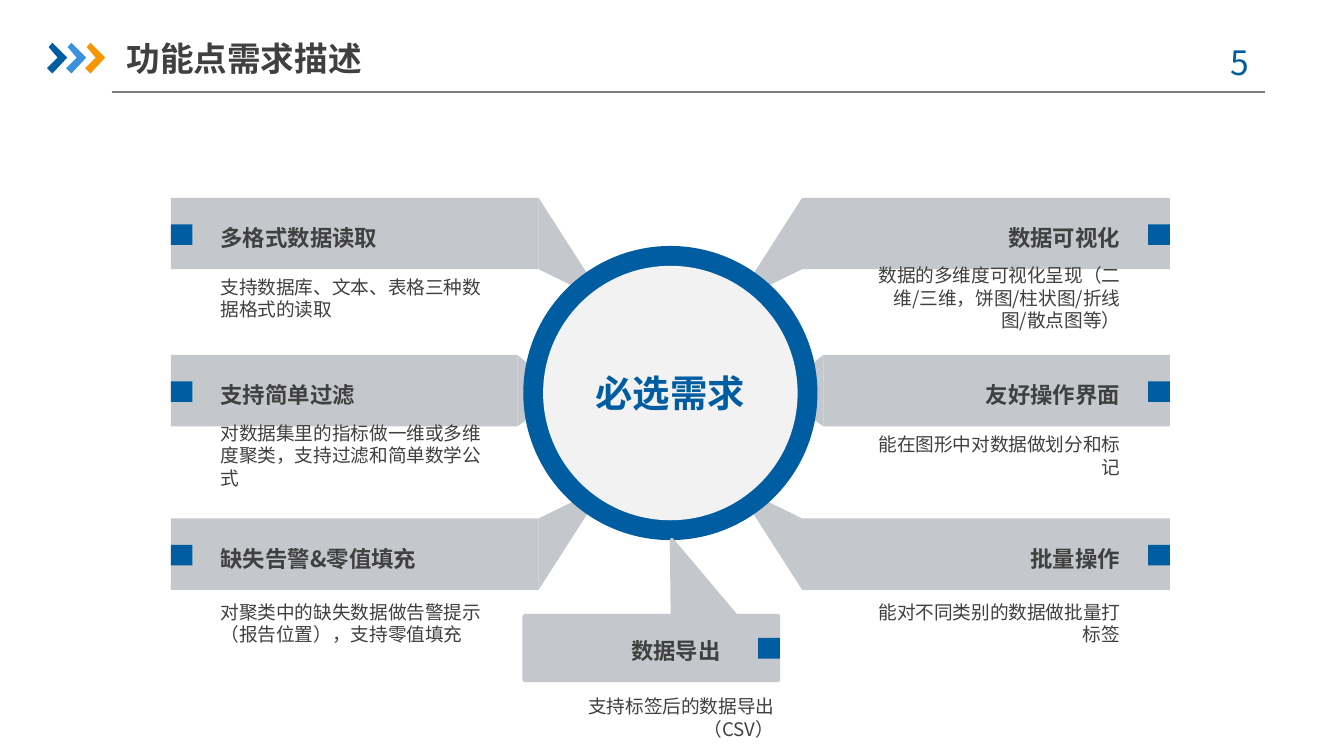
import pptx
import pptx.dml.color
import pptx.enum.shapes
import pptx.enum.text
import pptx.oxml
import pptx.oxml.ns
import pptx.util

Cm = pptx.util.Cm
SHAPE = pptx.enum.shapes.MSO_SHAPE
ALIGN = pptx.enum.text.PP_ALIGN
ANCHOR = pptx.enum.text.MSO_ANCHOR

TITLE = "功能点需求描述"
PAGE_NUMBER = "5"
HUB = "必选需求"
LEFT_FEATURES = [
    ("多格式数据读取", "支持数据库、文本、表格三种数据格式的读取"),
    ("支持简单过滤", "对数据集里的指标做一维或多维度聚类，支持过滤和简单数学公式"),
    ("缺失告警&零值填充", "对聚类中的缺失数据做告警提示（报告位置），支持零值填充"),
]
RIGHT_FEATURES = [
    ("数据可视化", "数据的多维度可视化呈现（二维/三维，饼图/柱状图/折线图/散点图等）"),
    ("友好操作界面", "能在图形中对数据做划分和标记"),
    ("批量操作", "能对不同类别的数据做批量打标签"),
]
EXPORT = ("数据导出", "支持标签后的数据导出（CSV）")

THEME = {
    "font": "Noto Sans CJK SC",
    "blue": "005DA2", "sky": "3992DB", "orange": "F79600",
    "bar": "C4C7CB", "disc": "F2F2F2", "rule": "808080", "ink": "404040",
    "title": {"size": 18, "bold": True, "color": "ink"},
    "page": {"size": 18, "bold": False, "color": "blue"},
    "hub": {"size": 20, "bold": True, "color": "blue"},
    "heading": {"size": 12, "bold": True, "color": "ink"},
    "detail": {"size": 10, "bold": False, "color": "ink"},
}

# Lengths in centimetres; the right side mirrors the left about AXIS.
AXIS, HUB_Y = 12.67, 7.43
RING, DISC = 5.56, 4.81
BAR_LEFT, BAR_HEIGHT = 3.23, 1.35
TEXT_LEFT = 4.17
HEADING_W, HEADING_H = 5.44, 0.78
DETAIL_H = 0.34
MARK_W, MARK_H, MARK_DROP = 0.41, 0.39, 0.5
CORNER = [(0, 0), (1.07, 1.67), (0.92, 1.8), (0, BAR_HEIGHT)]
MIDDLE = [(0, 0), (0.71, 0.58), (0.71, 0.84), (0, BAR_HEIGHT)]
# bar top, bar inner end, spoke outline, spoke flipped, detail top
ROWS = [
    (3.74, 10.18, CORNER, False, 5.46),
    (6.71, 9.78, MIDDLE, False, 8.44),
    (9.80, 10.18, CORNER, True, 11.61),
]
CHEVRON = [(0.03, 0.08), (0.1, 0), (0.38, 0.28), (0.1, 0.58), (0, 0.48), (0.2, 0.28)]

prs = pptx.Presentation()
prs.slide_width, prs.slide_height = Cm(25.4), Cm(14.29)
slide = prs.slides.add_slide(prs.slide_layouts[6])


def rgb(color):
    return pptx.dml.color.RGBColor.from_string(THEME[color])


def paint(shape, color):
    shape.shadow.inherit = False
    shape.fill.solid()
    shape.fill.fore_color.rgb = rgb(color)
    shape.line.fill.background()
    return shape


def add_block(kind, left, top, width, height, color):
    return paint(slide.shapes.add_shape(kind, Cm(left), Cm(top), Cm(width), Cm(height)), color)


def add_outline(points, color):
    points = [(Cm(x), Cm(y)) for x, y in points]
    builder = slide.shapes.build_freeform(*points[0])
    builder.add_line_segments(points[1:], close=True)
    return paint(builder.convert_to_shape(), color)


def write(shape, text, role, align, anchor, side_margin=0):
    frame = shape.text_frame
    margin = Cm(side_margin)
    layout = {"word_wrap": True, "vertical_anchor": anchor, "margin_left": margin,
              "margin_right": margin, "margin_top": Cm(0.13), "margin_bottom": Cm(0.13)}
    for name, value in layout.items():
        setattr(frame, name, value)
    paragraph = frame.paragraphs[0]
    paragraph.alignment = align
    run = paragraph.add_run()
    run.text = text
    style = THEME[role]
    letters = {"name": THEME["font"], "size": pptx.util.Pt(style["size"]), "bold": style["bold"]}
    for name, value in letters.items():
        setattr(run.font, name, value)
    run.font.color.rgb = rgb(style["color"])
    east_asian = pptx.oxml.parse_xml(
        f'<a:ea {pptx.oxml.ns.nsdecls("a")} typeface="{THEME["font"]}"/>')
    run.font._element.find(pptx.oxml.ns.qn("a:latin")).addnext(east_asian)


def add_text(left, top, width, height, text, role, align=ALIGN.LEFT,
             anchor=ANCHOR.MIDDLE, side_margin=0):
    box = slide.shapes.add_textbox(Cm(left), Cm(top), Cm(width), Cm(height))
    write(box, text, role, align, anchor, side_margin)


def add_mark(left, top):
    add_block(SHAPE.RECTANGLE, left, top, MARK_W, MARK_H, "blue")


def add_feature(feature, row, mirrored):
    heading, detail = feature
    top, inner, spoke, flipped, detail_top = row
    detail_width = 4.67 if mirrored else 4.93
    align = ALIGN.RIGHT if mirrored else ALIGN.LEFT

    def place(x, width=0):
        return 2 * AXIS - x - width if mirrored else x

    bar_left = place(BAR_LEFT, inner - BAR_LEFT)
    add_block(SHAPE.RECTANGLE, bar_left, top, inner - BAR_LEFT, BAR_HEIGHT, "bar")
    add_outline([(place(inner + x), top + (BAR_HEIGHT - y if flipped else y))
                 for x, y in spoke], "bar")
    add_mark(place(BAR_LEFT, MARK_W), top + MARK_DROP)
    add_text(place(TEXT_LEFT, HEADING_W), top + 0.37, HEADING_W, HEADING_H,
             heading, "heading", align, ANCHOR.TOP)
    add_text(place(TEXT_LEFT, detail_width), detail_top, detail_width, DETAIL_H,
             detail, "detail", align)


def add_header():
    rule = slide.shapes.add_connector(
        pptx.enum.shapes.MSO_CONNECTOR.STRAIGHT, Cm(2.11), Cm(1.74), Cm(23.9), Cm(1.74))
    rule.line.color.rgb = rgb("rule")
    rule.line.width = pptx.util.Pt(0.75)
    rule._element.spPr.append(
        pptx.oxml.parse_xml(f'<a:effectLst {pptx.oxml.ns.nsdecls("a")}/>'))
    for index, color in enumerate(("blue", "sky", "orange")):
        add_outline([(0.89 + 0.36 * index + x, 0.81 + y) for x, y in CHEVRON], color)
    add_text(22.5, 0.66, 1.85, 1.02, PAGE_NUMBER, "page", ALIGN.CENTER, ANCHOR.TOP, 0.25)
    add_text(2.39, 0.56, 5.92, 1.07, TITLE, "title")


def add_hub():
    for size, color in ((RING, "blue"), (DISC, "disc")):
        disc = add_block(SHAPE.OVAL, AXIS - size / 2, HUB_Y - size / 2, size, size, color)
    write(disc, HUB, "hub", ALIGN.CENTER, ANCHOR.MIDDLE, 0.25)


def add_export():
    heading, detail = EXPORT
    callout = add_block(SHAPE.RECTANGULAR_CALLOUT, 9.91, 11.64, 4.8, 1.22, "bar")
    callout.rotation = 180
    callout.adjustments[0], callout.adjustments[1] = -0.08, 1.68
    callout.line.color.rgb = rgb("bar")
    callout.line.width = pptx.util.Pt(2)
    add_text(8.18, 11.91, HEADING_W, HEADING_H, heading, "heading", ALIGN.RIGHT, ANCHOR.TOP)
    add_mark(14.33, 12.06)
    add_text(9.96, 13.39, 4.67, DETAIL_H, detail, "detail", ALIGN.RIGHT)


add_header()
for features, mirrored in ((LEFT_FEATURES, False), (RIGHT_FEATURES, True)):
    for feature, row in zip(features, ROWS):
        add_feature(feature, row, mirrored)
add_hub()
add_export()
prs.save("out.pptx")
